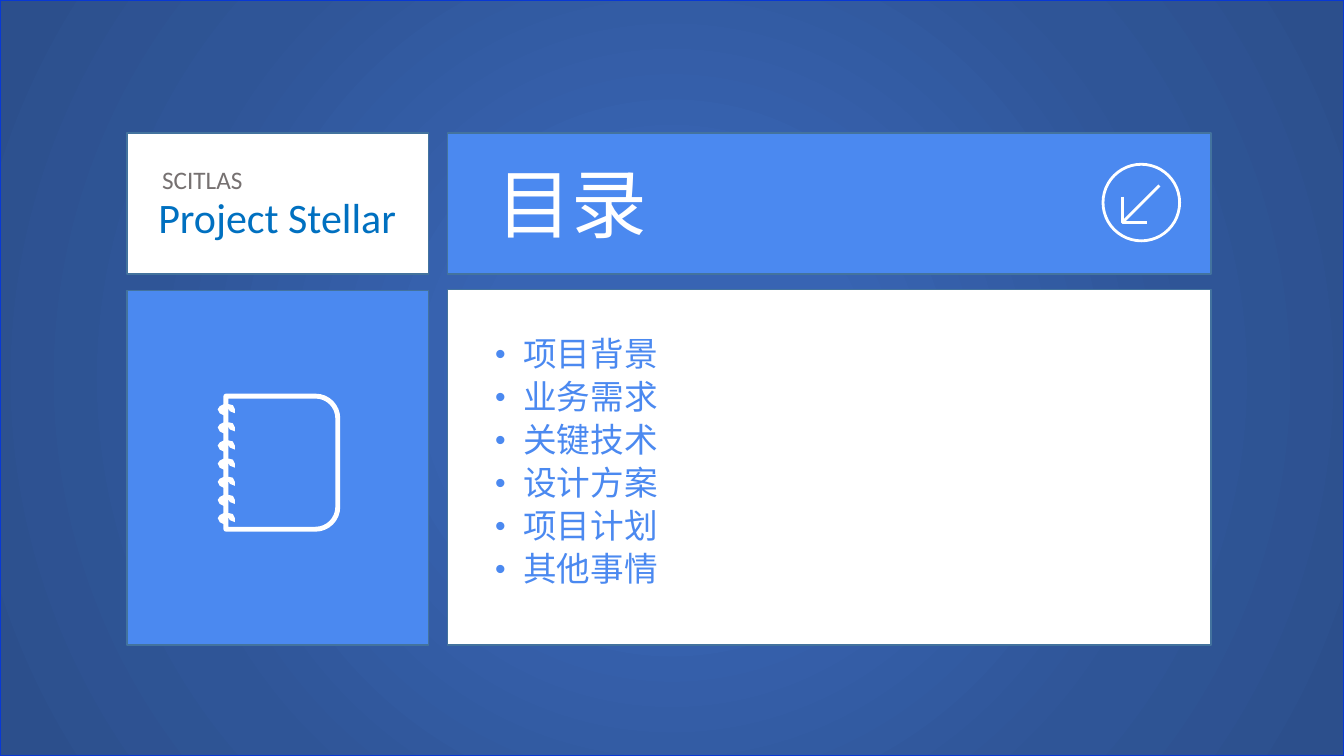
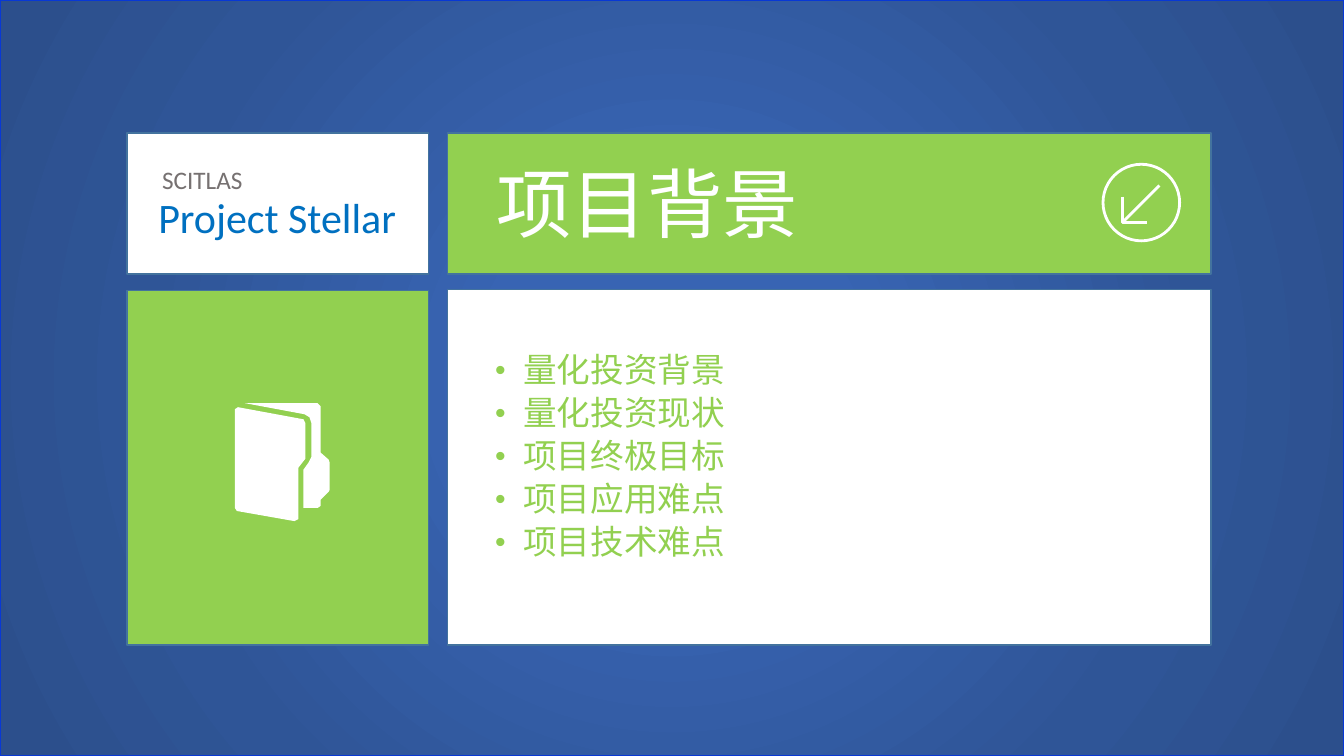
from math import cos, pi, sin

from pptx import Presentation
from pptx.dml.color import RGBColor
from pptx.enum.shapes import MSO_SHAPE
from pptx.enum.text import MSO_ANCHOR, MSO_AUTO_SIZE, PP_ALIGN
from pptx.oxml import parse_xml
from pptx.oxml.ns import nsdecls
from pptx.util import Inches, Pt

# Colours
WHITE = RGBColor(0xFF, 0xFF, 0xFF)
BLUE = RGBColor(0x4B, 0x89, 0xF0)
GREEN = RGBColor(0x92, 0xD0, 0x50)
PANEL_EDGE = RGBColor(0x43, 0x73, 0x9E)
PAGE_EDGE = RGBColor(0x08, 0x38, 0xD5)
PROJECT_BLUE = RGBColor(0x00, 0x70, 0xC0)
TEAM_GREY = RGBColor(0x76, 0x71, 0x71)
GLOW = [(0, "3864B3"), (23, "3864B3"), (69, "2F5597"), (97, "2C4F8C")]

# Content
TEAM, PROJECT = "SCITLAS", "Project Stellar"
SLIDES = [
    {"title": "目录", "accent": BLUE, "icon": "notebook", "list_top": 3.28,
     "items": ["项目背景", "业务需求", "关键技术", "设计方案", "项目计划", "其他事情"]},
    {"title": "项目背景", "accent": GREEN, "icon": "folder", "list_top": 3.44,
     "items": ["量化投资背景", "量化投资现状", "项目终极目标", "项目应用难点", "项目技术难点"]},
]

# Layout in inches: left, top, width, height
WIDTH, HEIGHT = 13.33, 7.5
TITLE_PANEL = (4.44, 1.32, 7.57, 1.4)
LIST_PANEL = (4.44, 2.87, 7.57, 3.53)
NAME_PANEL = (1.26, 1.32, 2.99, 1.4)
ICON_PANEL = (1.26, 2.88, 2.99, 3.52)
TITLE_BOX = (4.82, 1.51, 4.65, 1.01)
LIST_LEFT, LIST_WIDTH, ITEM_HEIGHT = 4.84, 6.8, 0.45

# Icon outlines as points in inches
ARROW = [[(11.13, 1.95), (11.13, 2.21), (11.38, 2.21)], [(11.13, 2.21), (11.5, 1.84)]]
RING = [(2.22, 4.01), (2.18, 4.03), (2.16, 4.06), (2.18, 4.1), (2.22, 4.12), (2.22, 4.07),
        (2.27, 4.06), (2.28, 4.08), (2.33, 4.1), (2.33, 4.06), (2.31, 4.02), (2.27, 4.01)]
RING_COUNT, RING_STEP = 7, 0.18
FOLDER = [
    [(2.33, 4.06), (2.36, 4.04), (3.01, 4.16), (3.03, 4.2), (3.03, 4.55), (2.96, 4.64),
     (2.96, 5.15), (2.92, 5.17), (2.35, 5.07), (2.33, 5.04)],
    [(2.43, 4), (3.15, 4), (3.18, 4.03), (3.18, 4.49), (3.26, 4.56), (3.27, 4.59),
     (3.27, 4.86), (3.26, 4.88), (3.18, 4.96), (3.18, 5.02), (3.15, 5.04), (3.01, 5.04),
     (3.01, 4.66), (3.06, 4.59), (3.09, 4.53), (3.09, 4.2), (3.07, 4.14), (3.02, 4.11)],
]


def place(box, area):
    box.left, box.top, box.width, box.height = map(Inches, area)


def paint(shape, fill=None, line=None, weight=1):
    shape.shadow.inherit = False
    if fill is None:
        shape.fill.background()
    else:
        shape.fill.solid()
        shape.fill.fore_color.rgb = fill
    if line is None:
        shape.line.fill.background()
    else:
        shape.line.color.rgb = line
        shape.line.width = Pt(weight)


def add_preset(page, kind, area, **style):
    shape = page.shapes.add_shape(kind, *map(Inches, area))
    paint(shape, **style)
    return shape


def add_outline(page, contours, closed=True, **style):
    builder = None
    for contour in contours:
        start, *rest = [(Inches(x), Inches(y)) for x, y in contour]
        if builder is None:
            builder = page.shapes.build_freeform(*start)
        else:
            builder.move_to(*start)
        builder.add_line_segments(rest, close=closed)
    paint(builder.convert_to_shape(), **style)


def write(para, text, size, color, font):
    span = para.add_run()
    span.text = text
    span.font.size = Pt(size)
    span.font.name = font
    span.font.color.rgb = color


def prepare_frame(box):
    frame = box.text_frame
    frame.word_wrap = True
    frame.auto_size = MSO_AUTO_SIZE.NONE
    frame.vertical_anchor = MSO_ANCHOR.TOP
    return frame


def add_label(page, area, text, size, color, align=PP_ALIGN.LEFT):
    box = page.shapes.add_textbox(*map(Inches, area))
    para = prepare_frame(box).paragraphs[0]
    para.alignment = align
    write(para, text, size, color, "Calibri")


def add_backdrop(page):
    shape = add_preset(page, MSO_SHAPE.RECTANGLE, (0, 0, WIDTH, HEIGHT),
                       fill=BLUE, line=PAGE_EDGE)
    stops = "".join(f'<a:gs pos="{pos * 1000}"><a:srgbClr val="{color}"/></a:gs>'
                    for pos, color in GLOW)
    gradient = parse_xml(
        f'<a:gradFill {nsdecls("a")} rotWithShape="1"><a:gsLst>{stops}</a:gsLst>'
        '<a:path path="circle"><a:fillToRect l="50000" t="50000" r="50000" b="50000"/>'
        '</a:path></a:gradFill>')
    solid = shape.fill._xPr.solidFill
    solid.getparent().replace(solid, gradient)


def add_panels(page, accent):
    for area, fill in ((TITLE_PANEL, accent), (LIST_PANEL, WHITE),
                       (NAME_PANEL, WHITE), (ICON_PANEL, accent)):
        add_preset(page, MSO_SHAPE.RECTANGLE, area, fill=fill, line=PANEL_EDGE)
    add_label(page, (1.37, 1.85, 2.76, 0.61), PROJECT, 30, PROJECT_BLUE, PP_ALIGN.CENTER)
    add_label(page, (1.51, 1.58, 1.47, 0.4), TEAM, 18, TEAM_GREY)


def add_arrow_badge(page):
    add_preset(page, MSO_SHAPE.OVAL, (10.94, 1.63, 0.76, 0.76), line=WHITE, weight=2)
    add_outline(page, ARROW, closed=False, line=WHITE, weight=2)


def add_notebook(page):
    left, top, right, bottom, radius = 2.24, 3.93, 3.35, 5.25, 0.22
    quarter = [pi / 2 * step / 8 for step in range(9)]
    upper = [(right - radius + radius * sin(angle), top + radius - radius * cos(angle))
             for angle in quarter]
    lower = [(x, top + bottom - y) for x, y in reversed(upper)]
    add_outline(page, [[(left, top), *upper, *lower, (left, bottom)]], line=WHITE, weight=3.5)
    rings = [[(x, y + RING_STEP * index) for x, y in RING] for index in range(RING_COUNT)]
    add_outline(page, rings, fill=WHITE)


def add_folder(page):
    add_outline(page, FOLDER, fill=WHITE)


def fill_title(page, text):
    box = page.shapes.title
    place(box, TITLE_BOX)
    para = prepare_frame(box).paragraphs[0]
    para.alignment = PP_ALIGN.LEFT
    write(para, text, 54, WHITE, "Arial")
    return box


def fill_list(page, items, top, color):
    box = page.placeholders[1]
    place(box, (LIST_LEFT, top, LIST_WIDTH, ITEM_HEIGHT * len(items) + 0.04))
    frame = prepare_frame(box)
    frame.margin_left = frame.margin_right = Inches(0.07)
    frame.margin_top = frame.margin_bottom = Inches(0.07)
    for index, item in enumerate(items):
        para = frame.add_paragraph() if index else frame.paragraphs[0]
        para.line_spacing = 0.9
        props = para._p.get_or_add_pPr()
        props.set("marL", str(Inches(0.28)))
        props.set("indent", str(-Inches(0.28)))
        for tag in ('spcBef {}><a:spcPct val="20000"/></a:spcBef', 'buSzPct {} val="90000"/',
                    'buFont {} typeface="Arial"/', 'buChar {} char="•"/'):
            props.append(parse_xml(f"<a:{tag.format(nsdecls('a'))}>"))
        write(para, item, 24, color, "Arial")
    return box


ICONS = {"notebook": add_notebook, "folder": add_folder}

# Build the deck
deck = Presentation()
deck.slide_width, deck.slide_height = Inches(WIDTH), Inches(HEIGHT)
for content in SLIDES:
    page = deck.slides.add_slide(deck.slide_layouts[1])
    add_backdrop(page)
    add_panels(page, content["accent"])
    add_arrow_badge(page)
    ICONS[content["icon"]](page)
    title = fill_title(page, content["title"])
    listing = fill_list(page, content["items"], content["list_top"], content["accent"])
    # Bring the placeholders in front of the panels
    for box in (title, listing):
        page.shapes._spTree.append(box._element)
deck.save("out.pptx")
